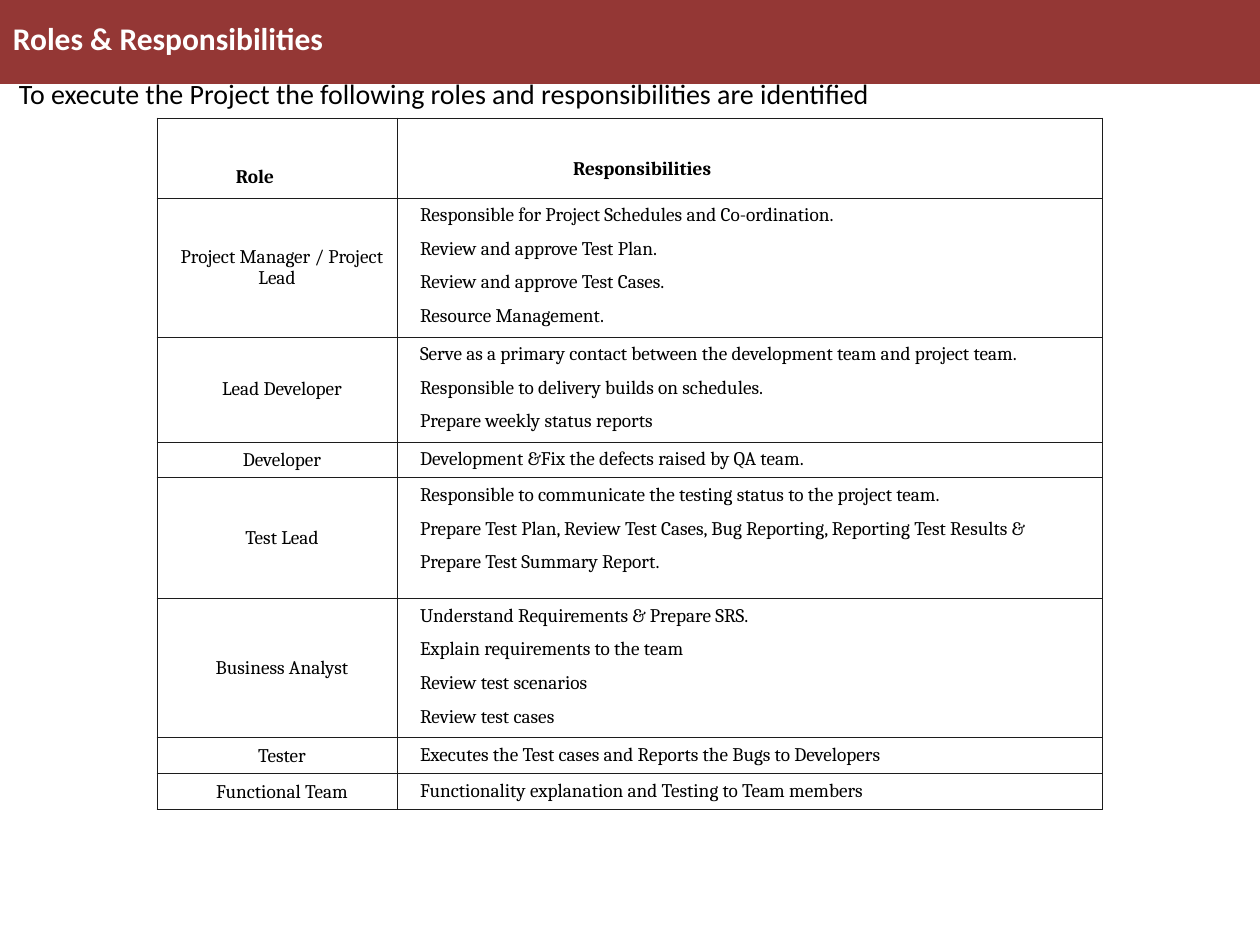
"""Build the roles and responsibilities slide."""
from pptx import Presentation
from pptx.dml.color import RGBColor
from pptx.enum.shapes import MSO_SHAPE
from pptx.enum.text import MSO_ANCHOR, PP_ALIGN
from pptx.oxml import parse_xml
from pptx.oxml.ns import nsdecls
from pptx.util import Pt

PX = 914400 / 126
THEME = {
    "banner": RGBColor.from_string("943735"),
    "paper": RGBColor.from_string("FFFFFF"),
    "ink": RGBColor.from_string("000000"),
    "border": "1C1C1C",
    "border_width": Pt(0.57),
    "head": "Calibri",
    "body": "Cambria",
    "title": Pt(18),
    "intro": Pt(16),
    "cell": Pt(11),
    "gap": Pt(3.4),
}


def px(n):
    return round(n * PX)


def write(p, text, color, left=0, first=0, **fmt):
    p._p.get_or_add_pPr().set("marL", str(px(left)))
    p._p.get_or_add_pPr().set("indent", str(px(first)))
    for name in ("alignment", "line_spacing", "space_before", "space_after"):
        if name in fmt:
            setattr(p, name, fmt.pop(name))
    r = p.add_run()
    r.text = text
    r.font.color.rgb = color
    for name, value in fmt.items():
        setattr(r.font, name, value)


prs = Presentation()
prs.slide_width, prs.slide_height = px(1260), px(945)
s = prs.slides.add_slide(prs.slide_layouts[6])

banner = s.shapes.add_shape(MSO_SHAPE.RECTANGLE, 0, 0, px(1260), px(84))
banner.shadow.inherit = False
banner.fill.solid()
banner.fill.fore_color.rgb = THEME["banner"]
banner.line.fill.background()

headings = [
    ((13, 18, 1194, 58), (0, 0), "Roles & Responsibilities", THEME["paper"],
     {"size": THEME["title"], "bold": True, "line_spacing": 1.02}),
    ((6, 73, 1208, 44), (13, 6),
     "To execute the Project the following roles and responsibilities are identified",
     THEME["ink"], {"size": THEME["intro"], "line_spacing": 0.93}),
]
for box, (inset_x, inset_y), text, color, fmt in headings:
    tf = s.shapes.add_textbox(*map(px, box)).text_frame
    tf.word_wrap = True
    tf.margin_left = tf.margin_right = px(inset_x)
    tf.margin_top = tf.margin_bottom = px(inset_y)
    write(tf.paragraphs[0], text, color, name=THEME["head"], **fmt)

roles = [
    ("Role", ["Responsibilities"], 80),
    ("Project Manager / Project Lead", [
        "Responsible for Project Schedules and Co-ordination.",
        "Review and approve Test Plan.",
        "Review and approve Test Cases.",
        "Resource Management."], 139),
    ("Lead Developer", [
        "Serve as a primary contact between the development team and project team.",
        "Responsible to delivery builds on schedules.",
        "Prepare weekly status reports"], 105),
    ("Developer", ["Development &Fix the defects raised by QA team."], 36),
    ("Test Lead", [
        "Responsible to communicate the testing status to the project team.",
        "Prepare Test Plan, Review Test Cases, Bug Reporting, Reporting Test Results &",
        "Prepare Test Summary Report."], 121),
    ("Business Analyst", [
        "Understand Requirements & Prepare SRS.",
        "Explain requirements to the team",
        "Review test scenarios",
        "Review test cases"], 139),
    ("Tester", ["Executes the Test cases and Reports the Bugs to Developers"], 36),
    ("Functional Team", ["Functionality explanation and Testing to Team members"], 36),
]
widths = (240, 705)
header_layout = ((66, 48), (163, 40))

total = sum(height for _, _, height in roles)
table = s.shapes.add_table(len(roles), 2, px(157), px(118), px(sum(widths)), px(total)).table
table.first_row = table.horz_banding = False
for col, width in zip(table.columns, widths):
    col.width = px(width)

for i, (role, duties, height) in enumerate(roles):
    table.rows[i].height = px(height)
    for j, lines in enumerate(([role], duties)):
        cell = table.cell(i, j)
        for side in "LRTB":
            cell._tc.get_or_add_tcPr().append(parse_xml(
                f'<a:ln{side} {nsdecls("a")} w="{THEME["border_width"]}"><a:solidFill>'
                f'<a:srgbClr val="{THEME["border"]}"/></a:solidFill></a:ln{side}>'))
        cell.fill.solid()
        cell.fill.fore_color.rgb = THEME["paper"]
        cell.margin_left = cell.margin_right = px(13)
        cell.margin_top = cell.margin_bottom = px(6)
        left, first, align = 0, 10, PP_ALIGN.LEFT
        if i == 0:
            left, top = header_layout[j]
            first = 0
            cell.margin_top = px(top)
        elif j == 0:
            align = PP_ALIGN.CENTER
            cell.vertical_anchor = MSO_ANCHOR.MIDDLE
        tf = cell.text_frame
        for k, line in enumerate(lines):
            p = tf.add_paragraph() if k else tf.paragraphs[0]
            write(p, line, THEME["ink"], left, first, alignment=align, line_spacing=0.98,
                  space_before=THEME["gap"] if k else Pt(0), space_after=THEME["gap"],
                  name=THEME["body"], size=THEME["cell"], bold=i == 0)

prs.save("out.pptx")
